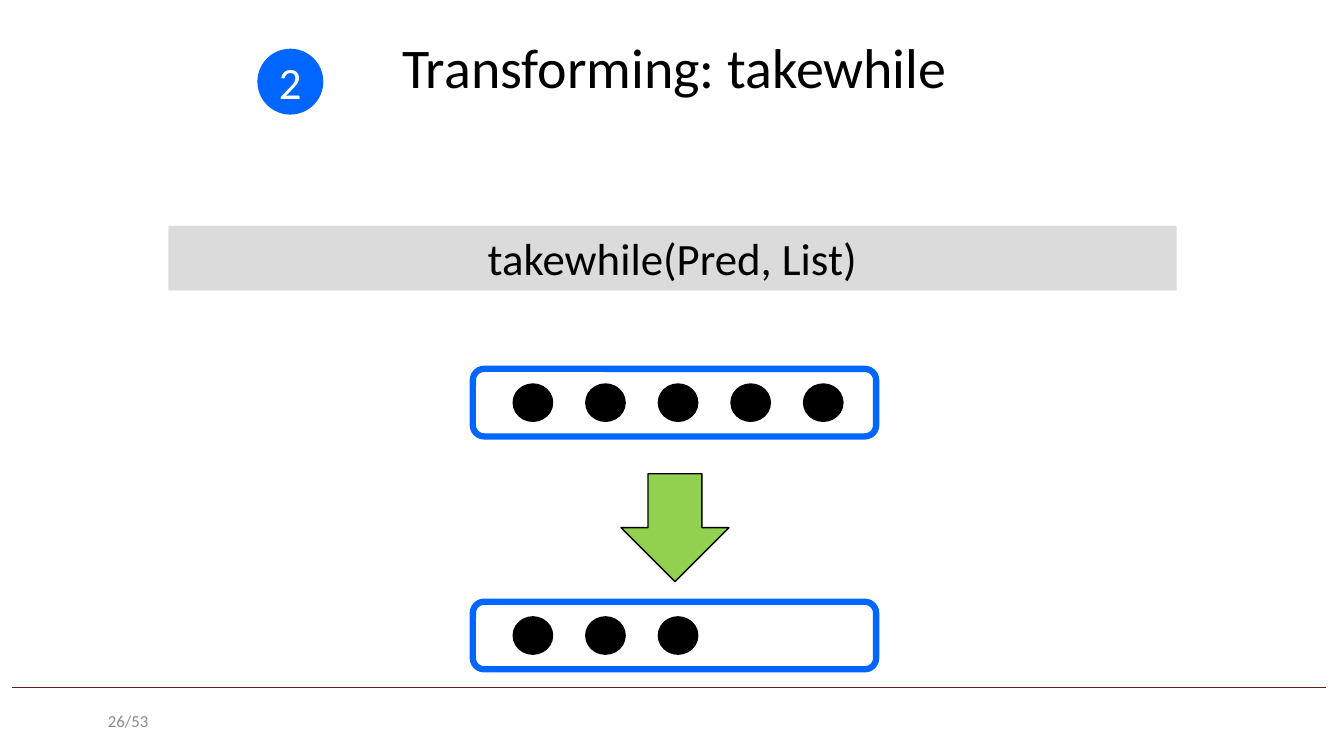
from pptx import Presentation
from pptx.dml.color import RGBColor
from pptx.enum.shapes import MSO_CONNECTOR, MSO_SHAPE
from pptx.enum.text import MSO_ANCHOR, PP_ALIGN
from pptx.oxml.ns import qn
from pptx.util import Inches, Pt
from lxml import etree

FONT = "Calibri"
BLACK = RGBColor(0x00, 0x00, 0x00)
WHITE = RGBColor(0xFF, 0xFF, 0xFF)
BLUE = RGBColor(0x00, 0x66, 0xFF)
GREEN = RGBColor(0x92, 0xD0, 0x50)
BAND_GRAY = RGBColor(0xDB, 0xDB, 0xDB)
PAGE_GRAY = RGBColor(0x8C, 0x8C, 0x8C)
RULE_BROWN = RGBColor(0x63, 0x1D, 0x1D)


def add_text(shape, text, size, color, align=PP_ALIGN.CENTER, inset=0.1):
    tf = shape.text_frame
    tf.word_wrap = True
    tf.vertical_anchor = MSO_ANCHOR.MIDDLE
    tf.margin_left = tf.margin_right = Inches(inset)
    tf.margin_top = tf.margin_bottom = Inches(inset / 2)
    p = tf.paragraphs[0]
    p.alignment = align
    r = p.add_run()
    r.text = text
    r.font.name, r.font.size = FONT, Pt(size)
    r.font.color.rgb = color
    return p


def add_box(shapes, kind, box, fill=None, line=None, weight=1):
    sp = shapes.add_shape(kind, *map(Inches, box))
    sp.shadow.inherit = False
    if fill is None:
        sp.fill.background()
    else:
        sp.fill.solid()
        sp.fill.fore_color.rgb = fill
    if line is None:
        sp.line.fill.background()
    else:
        sp.line.color.rgb = line
        sp.line.width = Pt(weight)
    return sp


def add_header(s, left, top, width, height):
    # Title and numbered badge
    title = s.shapes.add_textbox(*map(Inches, (left, top, width, height)))
    p = add_text(title, "Transforming: takewhile", 40, BLACK)
    p.line_spacing = 0.9
    badge = add_box(s.shapes, MSO_SHAPE.OVAL,
                    (left + 1.62, top + 0.23, 0.64, 0.64), BLUE, BLUE)
    add_text(badge, "2", 32, WHITE, inset=0)


def add_signature(s, *box):
    band = add_box(s.shapes, MSO_SHAPE.RECTANGLE, box, BAND_GRAY)
    add_text(band, "takewhile(Pred, List)", 32, BLACK)


def add_list(s, left, top, width, height, count):
    # Rounded frame holding evenly spaced elements
    group = s.shapes.add_group_shape()
    add_box(group.shapes, MSO_SHAPE.ROUNDED_RECTANGLE,
            (left, top, width, height), line=BLUE, weight=4.5)
    dot_w, dot_h, step = 0.39, 0.37, 0.72
    for i in range(count):
        add_box(group.shapes, MSO_SHAPE.OVAL,
                (left + 0.4 + i * step, top + (height - dot_h) / 2, dot_w, dot_h),
                BLACK, BLACK)


def add_footer(s, left, top, width):
    # Rule and page number
    rule = s.shapes.add_connector(MSO_CONNECTOR.STRAIGHT, Inches(left), Inches(top),
                                  Inches(left + width), Inches(top))
    rule.line.color.rgb = RULE_BROWN
    rule.line.width = Pt(0.25)
    etree.SubElement(rule._element.spPr, qn("a:effectLst"))
    page = s.shapes.add_textbox(Inches(left + 0.81), Inches(top + 0.13),
                                Inches(0.64), Inches(0.4))
    add_text(page, "26/53", 12, PAGE_GRAY, PP_ALIGN.RIGHT)


def main():
    prs = Presentation()
    prs.slide_width, prs.slide_height = Inches(13.33), Inches(7.5)
    s = prs.slides.add_slide(prs.slide_layouts[6])
    add_footer(s, 0.12, 6.82, 13.03)
    add_header(s, 0.94, 0.26, 11.5, 0.87)
    add_signature(s, 1.67, 2.24, 10, 0.64)
    # Input list, arrow, output list
    add_list(s, 4.69, 3.66, 4, 0.67, count=5)
    add_box(s.shapes, MSO_SHAPE.DOWN_ARROW, (6.16, 4.7, 1.07, 1.07), GREEN, BLACK)
    add_list(s, 4.69, 5.97, 4, 0.67, count=3)
    prs.save("out.pptx")


if __name__ == "__main__":
    main()
